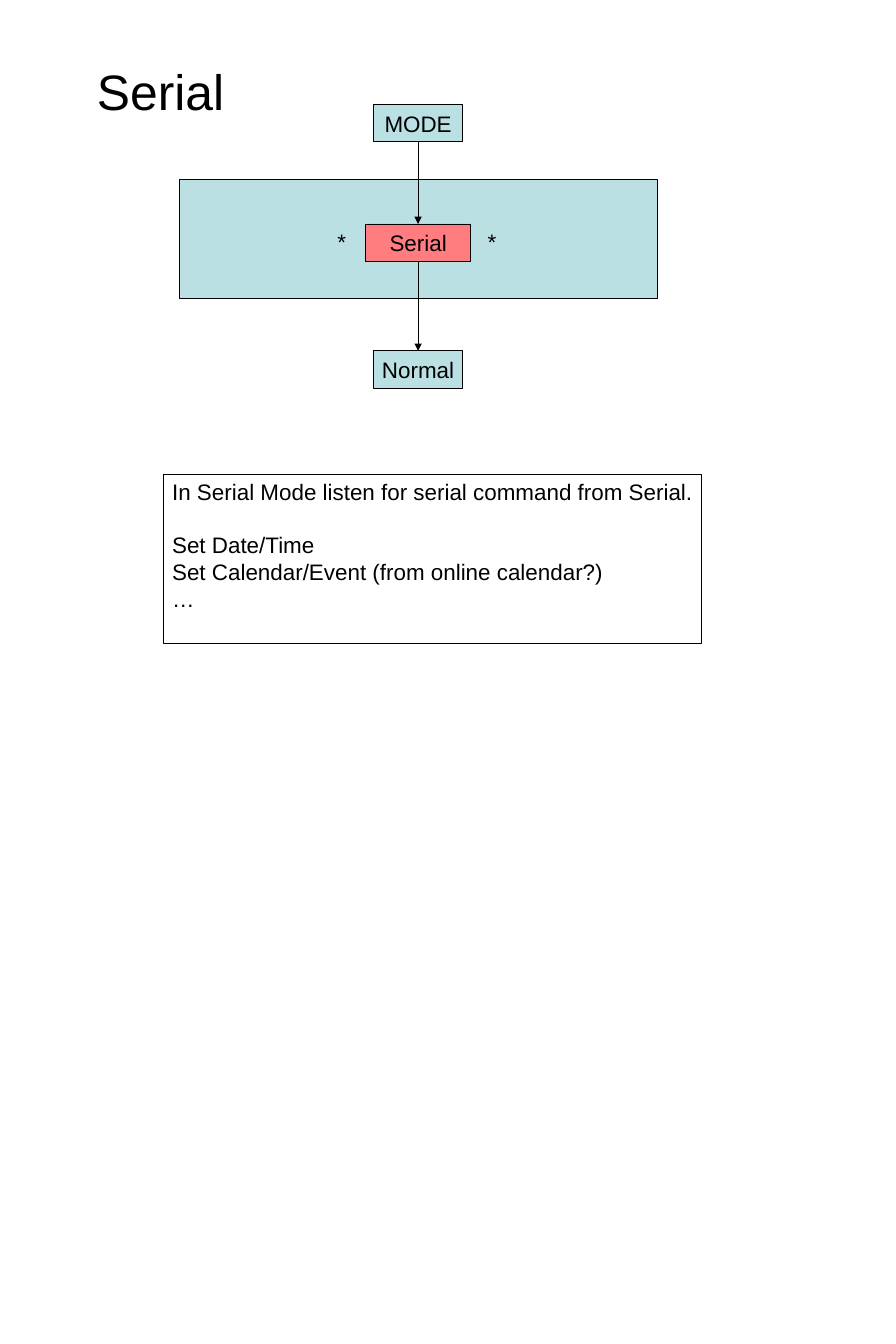
from dataclasses import dataclass

from lxml import etree
from pptx import Presentation
from pptx.dml.color import RGBColor
from pptx.enum.shapes import MSO_CONNECTOR, MSO_SHAPE
from pptx.enum.text import MSO_ANCHOR, MSO_AUTO_SIZE, PP_ALIGN
from pptx.oxml.ns import qn
from pptx.shapes.autoshape import Shape
from pptx.slide import Slide
from pptx.util import Emu, Pt

RECTANGLE = MSO_SHAPE.RECTANGLE
STRAIGHT = MSO_CONNECTOR.STRAIGHT
TOP, MIDDLE = MSO_ANCHOR.TOP, MSO_ANCHOR.MIDDLE
LEFT, CENTER = PP_ALIGN.LEFT, PP_ALIGN.CENTER
FIXED_SIZE = MSO_AUTO_SIZE.NONE

BLACK = RGBColor(0x00, 0x00, 0x00)
AQUA = RGBColor(0xBB, 0xE0, 0xE3)
CORAL = RGBColor(0xFF, 0x7C, 0x80)

EMU_PER_PX = 9525
SLIDE_WIDTH, SLIDE_HEIGHT = 960, 1440
FONT_NAME = "Arial"
TITLE_SIZE, BODY_SIZE = 40, 18
LINE_WIDTH = Pt(0.75)
GROUP_GAP = Pt(21)
BOTTOM_SIDE, TOP_SIDE = 2, 0


@dataclass(frozen=True)
class Box:
    """A rectangle or text area, placed in px."""

    left: int
    top: int
    width: int
    height: int
    text: str = ""
    fill: RGBColor | None = None


TITLE = Box(48, 58, 248, 79, "Serial")
PANEL = Box(192, 192, 512, 128, fill=AQUA)
STEPS = (
    Box(400, 112, 96, 40, "MODE", AQUA),
    Box(392, 240, 112, 40, "Serial", CORAL),
    Box(400, 376, 96, 40, "Normal", AQUA),
)
STARS = tuple(Box(left, 240, 28, 38, "*") for left in (352, 513))
NOTE = Box(175, 508, 577, 182)
NOTE_GROUPS = (
    ("In Serial Mode listen for serial command from Serial.",),
    ("Set Date/Time", "Set Calendar/Event (from online calendar?)", "…"),
)


def px(length: int) -> Emu:
    """Turn px into EMU."""
    return Emu(length * EMU_PER_PX)


def frame(box: Box) -> tuple[Emu, Emu, Emu, Emu]:
    """Return the place and size of a box in EMU."""
    return px(box.left), px(box.top), px(box.width), px(box.height)


def write_text(
    shape: Shape,
    groups: tuple[tuple[str, ...], ...],
    size: int = BODY_SIZE,
    align: PP_ALIGN = LEFT,
    anchor: MSO_ANCHOR = TOP,
) -> None:
    """Write groups of lines, with a gap between the groups."""
    text_frame = shape.text_frame
    text_frame.word_wrap = False
    text_frame.auto_size = FIXED_SIZE
    text_frame.vertical_anchor = anchor
    text_frame.text = "\n".join(line for group in groups for line in group)
    paragraphs = text_frame.paragraphs
    for paragraph in paragraphs:
        paragraph.alignment = align
        paragraph.font.name = FONT_NAME
        paragraph.font.size = Pt(size)
        paragraph.font.color.rgb = BLACK
    start = 0
    for group in groups[:-1]:
        start += len(group)
        paragraphs[start].space_before = GROUP_GAP


def add_rectangle(slide: Slide, box: Box) -> Shape:
    """Draw an outlined rectangle with its centred label, if any."""
    shape = slide.shapes.add_shape(RECTANGLE, *frame(box))
    shape.shadow.inherit = False
    if box.fill is None:
        shape.fill.background()
    else:
        shape.fill.solid()
        shape.fill.fore_color.rgb = box.fill
    shape.line.color.rgb = BLACK
    shape.line.width = LINE_WIDTH
    if box.text:
        write_text(shape, ((box.text,),), align=CENTER, anchor=MIDDLE)
    return shape


def add_text(
    slide: Slide,
    box: Box,
    size: int = BODY_SIZE,
    align: PP_ALIGN = LEFT,
    anchor: MSO_ANCHOR = TOP,
) -> None:
    """Add a plain text box."""
    shape = slide.shapes.add_textbox(*frame(box))
    write_text(shape, ((box.text,),), size, align, anchor)


def add_arrow(slide: Slide, source: Shape, target: Shape) -> None:
    """Join the bottom of one shape to the top of the next."""
    connector = slide.shapes.add_connector(STRAIGHT, 0, 0, 0, 0)
    connector.begin_connect(source, BOTTOM_SIDE)
    connector.end_connect(target, TOP_SIDE)
    connector.line.color.rgb = BLACK
    connector.line.width = LINE_WIDTH
    line = connector.line._get_or_add_ln()
    etree.SubElement(line, qn("a:tailEnd"), type="triangle")
    etree.SubElement(connector._element.spPr, qn("a:effectLst"))


def main() -> None:
    """Build the slide and save it."""
    presentation = Presentation()
    presentation.slide_width = px(SLIDE_WIDTH)
    presentation.slide_height = px(SLIDE_HEIGHT)
    slide = presentation.slides.add_slide(presentation.slide_layouts[6])

    add_text(slide, TITLE, TITLE_SIZE, CENTER, MIDDLE)
    add_rectangle(slide, PANEL)
    steps = [add_rectangle(slide, step) for step in STEPS]
    for source, target in zip(steps, steps[1:]):
        add_arrow(slide, source, target)
    for star in STARS:
        add_text(slide, star)
    write_text(add_rectangle(slide, NOTE), NOTE_GROUPS)

    presentation.save("out.pptx")


if __name__ == "__main__":
    main()
